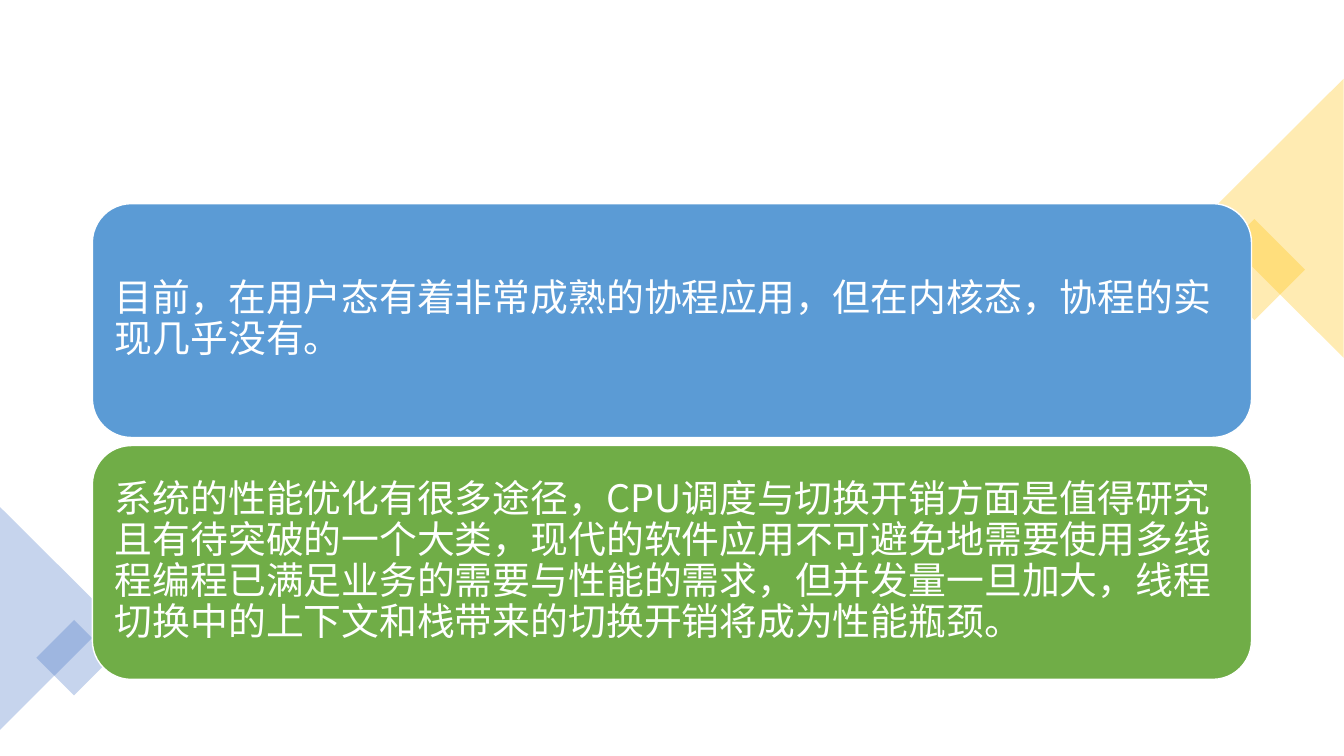
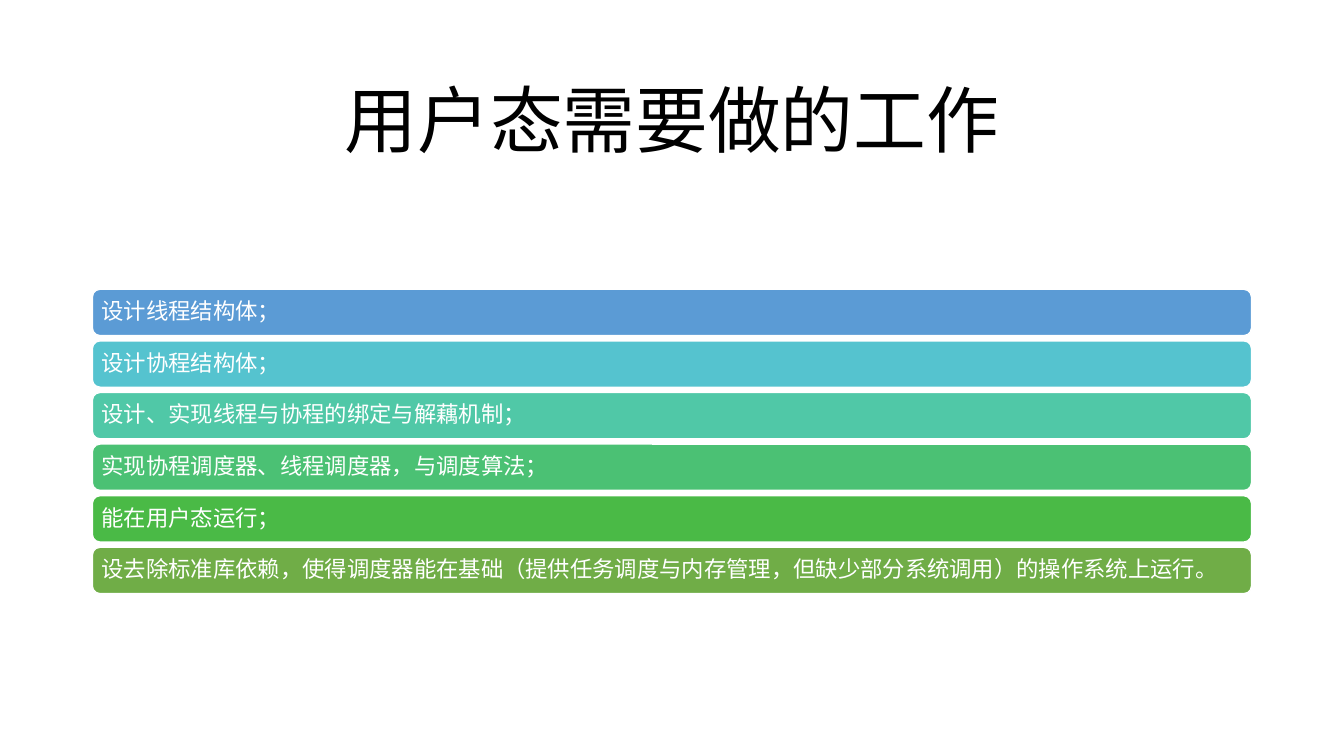
from lxml.etree import SubElement as Sub
from pptx import Presentation
from pptx.dml.color import RGBColor as RGB
from pptx.enum.shapes import MSO_SHAPE as Kind
from pptx.enum.text import MSO_ANCHOR as Anchor, PP_ALIGN as Align
from pptx.oxml.ns import qn
from pptx.util import Inches, Pt

FONT = "Noto Sans CJK SC"
WHITE, BLACK = "FFFFFF", "000000"
BLUE, GREEN = "5B9BD5", "70AD47"
GOLD, NAVY = "FFC000", "4472C4"
HIGH = 7.5
FULL = HIGH * 16 / 9
WIDE = 11.5
LEFT = (FULL - WIDE) / 2


def paint(part, color):
    if hasattr(part, "solid"):
        part.solid()
        part.fore_color.rgb = RGB.from_string(color)
    else:
        part.color.rgb = RGB.from_string(color)


def write(shape, text, size, color, align, pad):
    frame = shape.text_frame
    look = {"word_wrap": True, "vertical_anchor": Anchor.MIDDLE}
    for side, gap in zip(("left", "right", "top", "bottom"), pad):
        look["margin_" + side] = Inches(gap)
    for key, value in look.items():
        setattr(frame, key, value)
    para = frame.paragraphs[0]
    for key, value in {"alignment": align, "line_spacing": 0.9}.items():
        setattr(para, key, value)
    run = para.add_run()
    run.text = text
    for key, value in {"size": Pt(size), "name": FONT}.items():
        setattr(run.font, key, value)
    paint(run.font, color)
    Sub(run.font._element, qn("a:ea"), typeface=FONT)


deck = Presentation()
deck.slide_width, deck.slide_height = Inches(FULL), Inches(HIGH)
blank = deck.slide_layouts[6]
first, second = [deck.slides.add_slide(blank) for _ in range(2)]

decor = [
    (Kind.RECTANGLE, 12.09, 2.32, 0.71, 0.71, 45, GOLD),
    (Kind.ISOSCELES_TRIANGLE, 11.25, 1.47, 2.77, 1.39, 270, GOLD),
    (Kind.ISOSCELES_TRIANGLE, -0.55, 5.58, 2.21, 1.11, 90, NAVY),
    (Kind.RECTANGLE, 0.47, 6.26, 0.53, 0.53, 45, NAVY),
]
for kind, left, top, wide, high, turn, color in decor:
    shape = first.shapes.add_shape(
        kind, Inches(left), Inches(top), Inches(wide), Inches(high))
    shape.rotation = turn
    shape.shadow.inherit = False
    paint(shape.fill, color)
    shape.line.fill.background()
    tint = shape.fill._xPr.find(qn("a:solidFill"))[0]
    Sub(tint, qn("a:alpha"), val="30000")

title = second.shapes.add_textbox(
    Inches(LEFT), Inches(0.61), Inches(WIDE), Inches(1.24))
write(title, "用户态需要做的工作", 52, BLACK, Align.CENTER, (0.1, 0.1, 0.05, 0.05))

points = [
    (BLUE, "目前，在用户态有着非常成熟的协程应用，但在内核态，协程的实现几乎没有。"),
    (GREEN, "系统的性能优化有很多途径，CPU调度与切换开销方面是值得研究且有待突破的一个大类，"
            "现代的软件应用不可避免地需要使用多线程编程已满足业务的需要与性能的需求，"
            "但并发量一旦加大，线程切换中的上下文和栈带来的切换开销将成为性能瓶颈。"),
]
tasks = [
    (BLUE, "设计线程结构体；"),
    ("55C3CF", "设计协程结构体；"),
    ("50C8A7", "设计、实现线程与协程的绑定与解藕机制；"),
    ("4BC174", "实现协程调度器、线程调度器，与调度算法；"),
    ("4ABA46", "能在用户态运行；"),
    (GREEN, "设去除标准库依赖，使得调度器能在基础"
            "（提供任务调度与内存管理，但缺少部分系统调用）的操作系统上运行。"),
]
stacks = [
    (first, points, 2.02, 4.42, 2.32, 27, (0.11, 0.16, 0.1, 0.12)),
    (second, tasks, 2.87, 5.43, 0.46, 16, (0.07, 0.07, 0.07, 0.07)),
]
for slide, rows, start, last, high, size, pad in stacks:
    step = (last - start) / (len(rows) - 1)
    for index, (color, text) in enumerate(rows):
        bar = slide.shapes.add_shape(
            Kind.ROUNDED_RECTANGLE, Inches(LEFT), Inches(start + index * step),
            Inches(WIDE), Inches(high))
        bar.shadow.inherit = False
        paint(bar.fill, color)
        paint(bar.line, WHITE)
        bar.line.width = Pt(1)
        write(bar, text, size, WHITE, Align.LEFT, pad)

deck.save("out.pptx")
